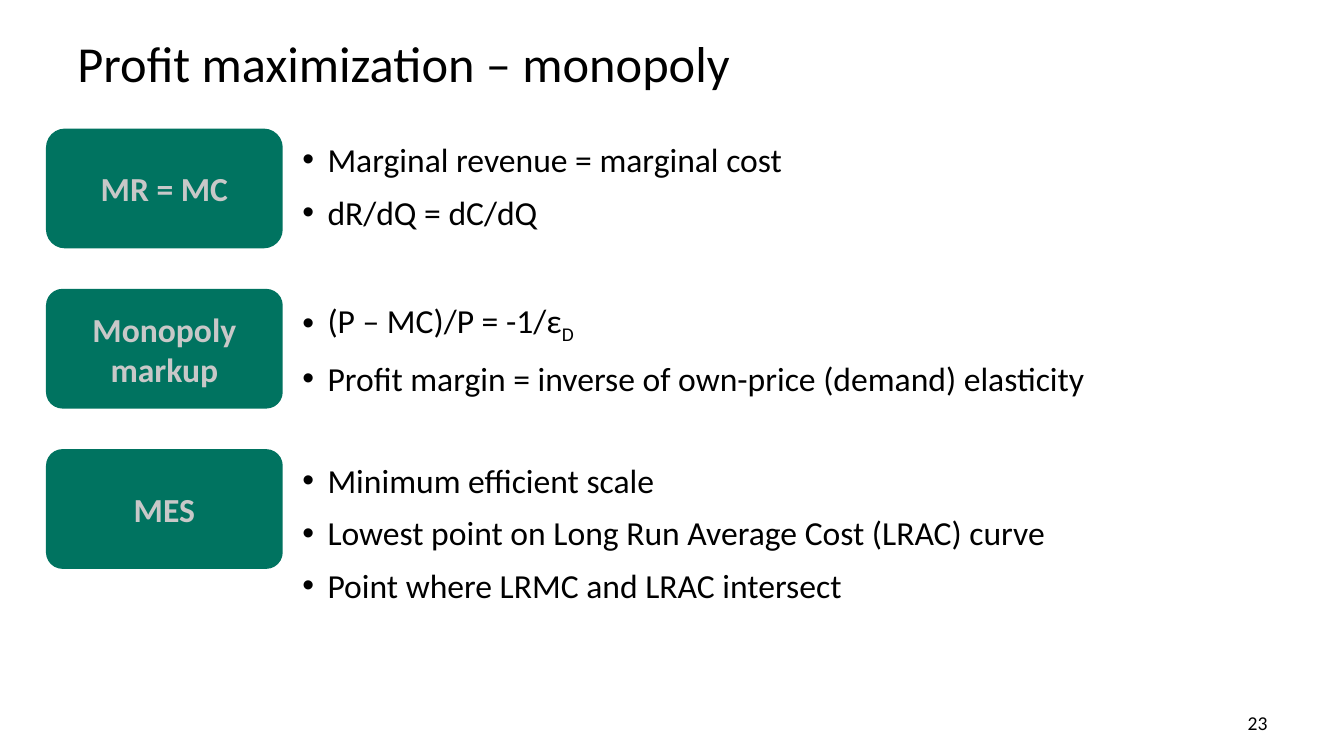
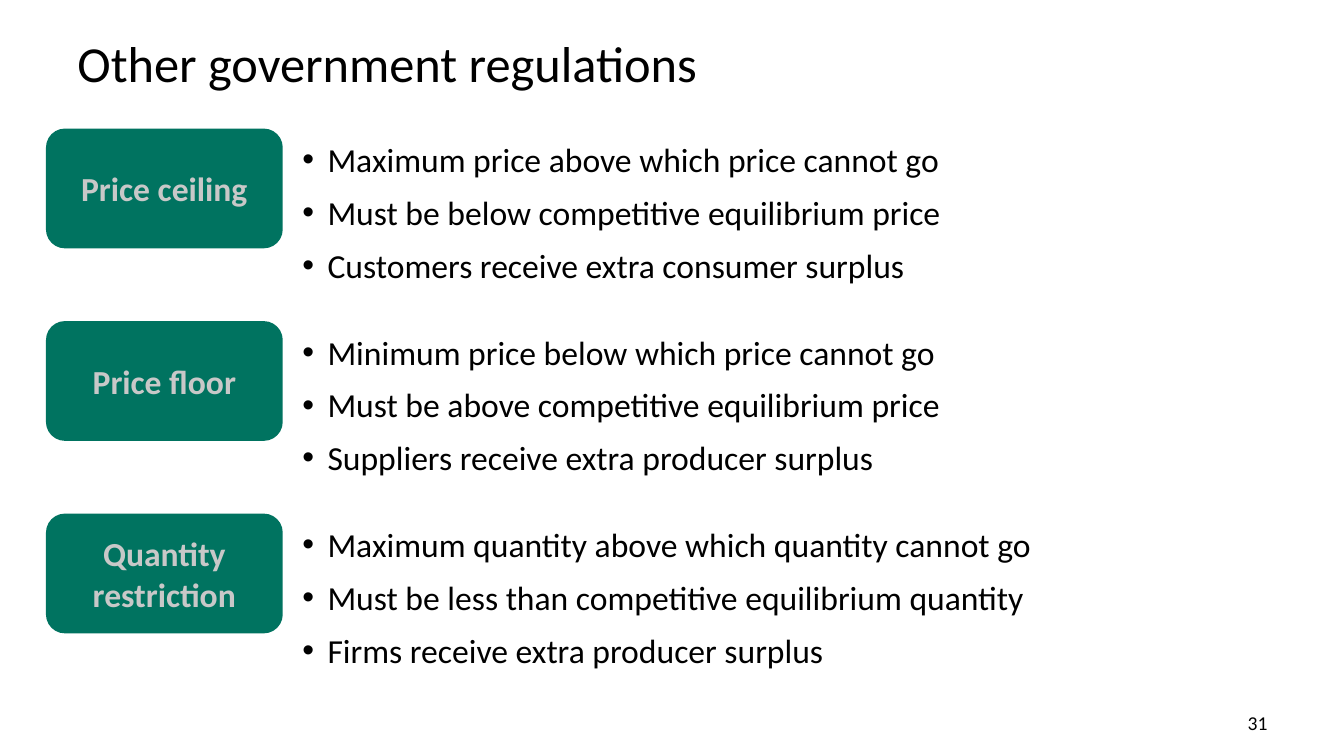
from lxml.etree import SubElement
from pptx import Presentation
from pptx.dml.color import RGBColor
from pptx.enum.shapes import MSO_SHAPE as Shape
from pptx.enum.text import MSO_ANCHOR as Anchor, PP_ALIGN as Align
from pptx.oxml.ns import qn
from pptx.util import Pt

PX = 9144
COLOURS = {"label": "007360", "label_text": "C8C8C8", "text": "000000"}
FONT = "Calibri"
SLIDE_SIZE = (1333, 750)
TITLE_BOX = (67, 26, 1200, 71)
NUMBER_BOX = (956, 700, 311, 34)
ROWS_LEFT, ROWS_TOP, ROWS_WIDTH = 47, 129, 1235
LABEL_WIDTH, LABEL_HEIGHT, LABEL_GAP = 232, 116, 11
BULLET_INDENT = 25
WIDE_ROUND, SLIM_ROUND = 0.15, 0.13

SLIDES = [
    {
        "title": "Profit maximization – monopoly",
        "number": "23",
        "step": 159,
        "rows": [
            ("MR = MC", WIDE_ROUND, [
                "Marginal revenue = marginal cost",
                "dR/dQ = dC/dQ",
            ]),
            ("Monopoly markup", SLIM_ROUND, [
                "(P – MC)/P = -1/ε_D",
                "Profit margin = inverse of own-price (demand) elasticity",
            ]),
            ("MES", SLIM_ROUND, [
                "Minimum efficient scale",
                "Lowest point on Long Run Average Cost (LRAC) curve",
                "Point where LRMC and LRAC intersect",
            ]),
        ],
    },
    {
        "title": "Other government regulations",
        "number": "31",
        "step": 191,
        "rows": [
            ("Price ceiling", WIDE_ROUND, [
                "Maximum price above which price cannot go",
                "Must be below competitive equilibrium price",
                "Customers receive extra consumer surplus",
            ]),
            ("Price floor", WIDE_ROUND, [
                "Minimum price below which price cannot go",
                "Must be above competitive equilibrium price",
                "Suppliers receive extra producer surplus",
            ]),
            ("Quantity restriction", WIDE_ROUND, [
                "Maximum quantity above which quantity cannot go",
                "Must be less than competitive equilibrium quantity",
                "Firms receive extra producer surplus",
            ]),
        ],
    },
]


def emu(*lengths):
    return [length * PX for length in lengths]


def colour(name):
    return RGBColor.from_string(COLOURS[name])


def style(para, size, name="text", bold=False, align=Align.LEFT):
    para.alignment = align
    para.font.name = FONT
    para.font.size = Pt(size)
    para.font.bold = bold
    para.font.color.rgb = colour(name)


def add_text(page, box, text, size, anchor=Anchor.TOP, align=Align.LEFT):
    frame = page.shapes.add_textbox(*emu(*box)).text_frame
    frame.word_wrap = True
    frame.vertical_anchor = anchor
    frame.text = text
    style(frame.paragraphs[0], size, align=align)


def add_label(page, box, text, rounding):
    label = page.shapes.add_shape(Shape.ROUNDED_RECTANGLE, *emu(*box))
    label.adjustments[0] = rounding
    label.shadow.inherit = False
    label.fill.solid()
    label.fill.fore_color.rgb = colour("label")
    label.line.color.rgb = colour("label")
    label.line.width = Pt(2)
    frame = label.text_frame
    frame.word_wrap = True
    frame.vertical_anchor = Anchor.MIDDLE
    frame.margin_left = frame.margin_right = 0
    frame.text = text
    style(frame.paragraphs[0], 24, "label_text", True, Align.CENTER)


def add_bullet(para, text):
    properties = para._p.get_or_add_pPr()
    indent, = emu(BULLET_INDENT)
    properties.set("marL", str(indent))
    properties.set("indent", str(-indent))
    SubElement(properties, qn("a:buFont")).set("typeface", "Arial")
    SubElement(properties, qn("a:buChar")).set("char", "•")
    para.line_spacing = 1.1
    para.space_after = Pt(6)
    main, _, subscript = text.partition("_")
    para.add_run().text = main
    if subscript:
        span = para.add_run()
        span.text = subscript
        span.font._element.set("baseline", "-25000")
    style(para, 24)


def add_bullets(page, box, lines):
    frame = page.shapes.add_textbox(*emu(*box)).text_frame
    frame.word_wrap = True
    for index, line in enumerate(lines):
        para = frame.add_paragraph() if index else frame.paragraphs[0]
        add_bullet(para, line)


def add_row(page, box, label, rounding, lines):
    left, top, width, height = box
    offset = LABEL_WIDTH + LABEL_GAP
    add_label(page, (left, top, LABEL_WIDTH, LABEL_HEIGHT), label, rounding)
    add_bullets(page, (left + offset, top, width - offset, height), lines)


def add_definitions(deck, title, number, step, rows):
    page = deck.slides.add_slide(deck.slide_layouts[6])
    add_text(page, TITLE_BOX, title, 36, anchor=Anchor.MIDDLE)
    for index, (label, rounding, lines) in enumerate(rows):
        box = (ROWS_LEFT, ROWS_TOP + index * step, ROWS_WIDTH, 53 * len(lines))
        add_row(page, box, label, rounding, lines)
    add_text(page, NUMBER_BOX, number, 14, align=Align.RIGHT)


def main():
    deck = Presentation()
    deck.slide_width, deck.slide_height = emu(*SLIDE_SIZE)
    for content in SLIDES:
        add_definitions(deck, **content)
    deck.save("out.pptx")


if __name__ == "__main__":
    main()
